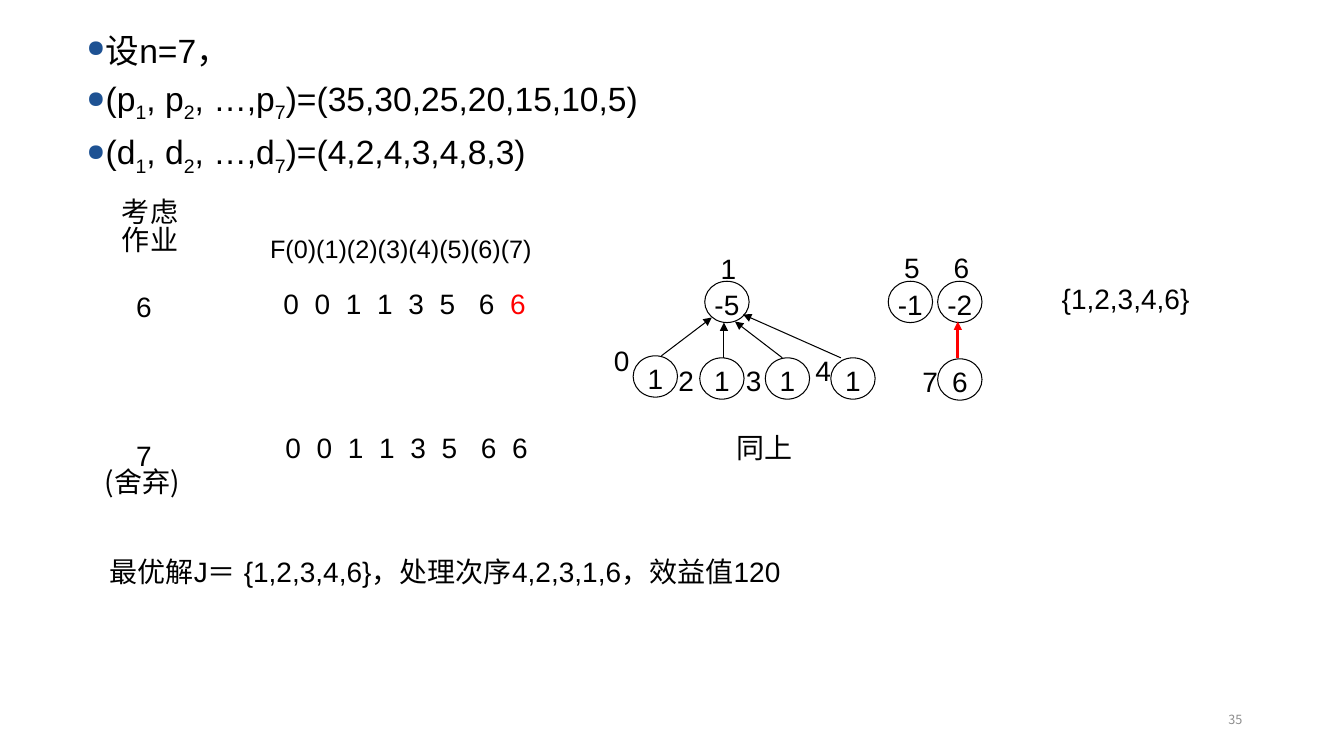
import pptx
import pptx.util
import pptx.dml.color
import pptx.enum.shapes
import pptx.enum.text
from lxml import etree
from pptx.oxml.ns import qn
from pptx.util import Inches

COLORS = {"text": "000000", "accent": "FF0000", "bullet": "1E5293", "muted": "8C8C8C"}
LATIN, CJK = "Arial", "Noto Sans CJK SC"
ALIGN = pptx.enum.text.PP_ALIGN


def rgb(name):
    return pptx.dml.color.RGBColor.from_string(COLORS[name])


def write(frame, lines, size=20, align=ALIGN.LEFT, inset=0, color="text", tabs=()):
    """Fill a frame with lines, each a list of (text, font) runs; return its paragraphs."""
    frame.word_wrap = True
    frame.margin_left = frame.margin_right = Inches(inset)
    frame.margin_top = frame.margin_bottom = Inches(inset / 2)
    for index, runs in enumerate(lines):
        paragraph = frame.add_paragraph() if index else frame.paragraphs[0]
        paragraph.alignment = align
        if tabs:
            stops = etree.SubElement(paragraph._p.get_or_add_pPr(), qn("a:tabLst"))
            for stop in tabs:
                etree.SubElement(stops, qn("a:tab"), pos=str(Inches(stop)), algn="l")
        paragraph.font.size = pptx.util.Pt(size)
        paragraph.font.color.rgb = rgb(color)
        for text, font in runs:
            run = paragraph.add_run()
            run.text = text
            run.font.size = pptx.util.Pt(size)
            run.font.color.rgb = rgb(color)
            run.font.name = font
            etree.SubElement(run._r.get_or_add_rPr(), qn("a:ea"), typeface=font)
            if font == CJK:
                paragraph.line_spacing = 0.84
    return frame.paragraphs


presentation = pptx.Presentation()
presentation.slide_width = Inches(13.33)
presentation.slide_height = Inches(7.5)
slide = presentation.slides.add_slide(presentation.slide_layouts[6])
shapes = slide.shapes


def add_text(left, top, width, height):
    return shapes.add_textbox(Inches(left), Inches(top), Inches(width), Inches(height)).text_frame


# Problem data
givens = [[("设n=7，", LATIN)]]
for letter, values in (("p", "35,30,25,20,15,10,5"), ("d", "4,2,4,3,4,8,3")):
    pieces = [f"({letter}", "1", f", {letter}", "2", f", …,{letter}", "7", f")=({values})"]
    givens.append([(piece, LATIN) for piece in pieces])
for index, given in enumerate(write(add_text(0.76, 0.21, 6.02, 1.81), givens, size=24, inset=0.1)):
    given.line_spacing = 1.1
    if index:
        given.space_before = pptx.util.Pt(2)
    properties = given._p.get_or_add_pPr()
    properties.set("marL", str(Inches(0.19)))
    properties.set("indent", str(Inches(-0.19)))
    bullet_color = etree.SubElement(properties, qn("a:buClr"))
    etree.SubElement(bullet_color, qn("a:srgbClr"), val=COLORS["bullet"])
    etree.SubElement(properties, qn("a:buSzPct"), val="70000")
    etree.SubElement(properties, qn("a:buChar"), char="●")
    # The marker elements precede the default run properties in the schema order
    properties.append(properties.find(qn("a:defRPr")))
    for subscript in given.runs[1::2]:
        subscript.font._element.set("baseline", "-25000")

# Job table: headings, job numbers and F values
write(add_text(1.21, 1.98, 0.72, 0.79), [[("考虑", CJK)], [("作业", CJK)]])
write(add_text(2.58, 2.27, 3.07, 0.4), [[("F(0)(1)(2)(3)(4)(5)(6)(7)", LATIN)]], size=18, inset=0.1)
for job, top in (("6", 2.87), ("7", 4.35)):
    write(add_text(1.35, top, 0.24, 0.34), [[(job, LATIN)]])
write(add_text(1.04, 4.66, 1.02, 0.34), [[("(舍弃)", CJK)]])

column_tabs = [0.31 * column + (0.08 if column > 5 else 0) for column in range(1, 8)]
f_values = "\t".join("0011356") + "\t"
job_6 = write(add_text(2.81, 2.84, 2.84, 0.55), [[(f_values, LATIN), ("6", LATIN)]], tabs=column_tabs)
job_6[0].runs[1].font.color.rgb = rgb("accent")
write(add_text(2.83, 4.33, 6.19, 0.54), [[(f_values + "6\t", LATIN), ("同上", CJK)]],
      tabs=column_tabs + [4.47])
write(add_text(10.53, 2.79, 1.61, 0.39), [[("{1,2,3,4,6}", LATIN)]])

# Forest: index, stored value, node position, index position
nodes = [
    ("0", "1", 6.28, 3.53, 6.08, 3.41), ("1", "-5", 6.99, 2.79, 7.14, 2.5),
    ("2", "1", 6.94, 3.55, 6.72, 3.61), ("3", "1", 7.59, 3.55, 7.39, 3.61),
    ("4", "1", 8.24, 3.55, 8.08, 3.51), ("5", "-1", 8.81, 2.79, 8.96, 2.49),
    ("6", "-2", 9.3, 2.79, 9.45, 2.49), ("7", "6", 9.3, 3.56, 9.14, 3.62),
]
for label, value, left, top, label_left, label_top in nodes:
    node = shapes.add_shape(pptx.enum.shapes.MSO_SHAPE.OVAL,
                            Inches(left), Inches(top), Inches(0.44), Inches(0.41))
    node.shadow.inherit = False
    node.fill.background()
    node.line.color.rgb = rgb("text")
    node.line.width = pptx.util.Pt(0.75)
    node.text_frame.vertical_anchor = pptx.enum.text.MSO_ANCHOR.TOP
    write(node.text_frame, [[(value, LATIN)]], align=ALIGN.CENTER)
    write(add_text(label_left, label_top, 0.17, 0.26), [[(label, LATIN)]], align=ALIGN.CENTER)

parent_links = [
    (8.34, 3.55, 7.37, 3.12, "text", 0.75), (7.18, 3.55, 7.18, 3.2, "text", 0.75),
    (7.76, 3.55, 7.29, 3.19, "text", 0.75), (6.56, 3.53, 7.06, 3.15, "text", 0.75),
    (9.5, 3.55, 9.5, 3.19, "accent", 2),
]
for start_x, start_y, end_x, end_y, color, width in parent_links:
    link = shapes.add_connector(pptx.enum.shapes.MSO_CONNECTOR.STRAIGHT,
                                Inches(start_x), Inches(start_y), Inches(end_x), Inches(end_y))
    link.line.color.rgb = rgb(color)
    link.line.width = pptx.util.Pt(width)
    etree.SubElement(link.line._get_or_add_ln(), qn("a:tailEnd"), type="triangle")
    etree.SubElement(link._element.spPr, qn("a:effectLst"))

# Result and page number
write(add_text(0.99, 5.51, 7.35, 0.44), [[
    ("最优解", CJK), ("J＝ {1,2,3,4,6}", LATIN), ("，处理次序", CJK),
    ("4,2,3,1,6", LATIN), ("，效益值", CJK), ("120", LATIN)]], inset=0.1)
page_number = add_text(9.42, 6.95, 3, 0.4)
page_number.vertical_anchor = pptx.enum.text.MSO_ANCHOR.MIDDLE
write(page_number, [[("35", CJK)]], size=9, align=ALIGN.RIGHT, inset=0.1, color="muted")

presentation.save("out.pptx")
